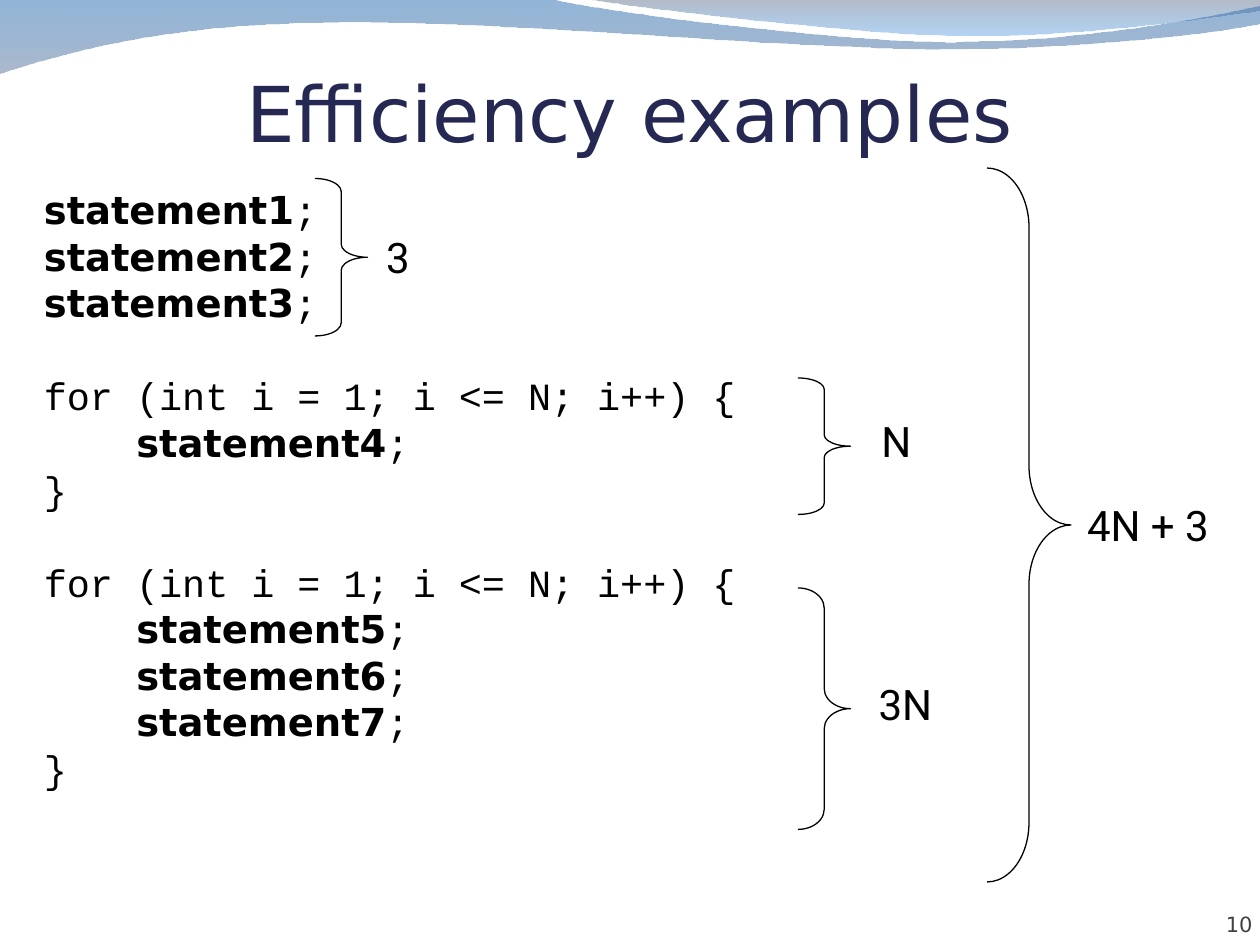
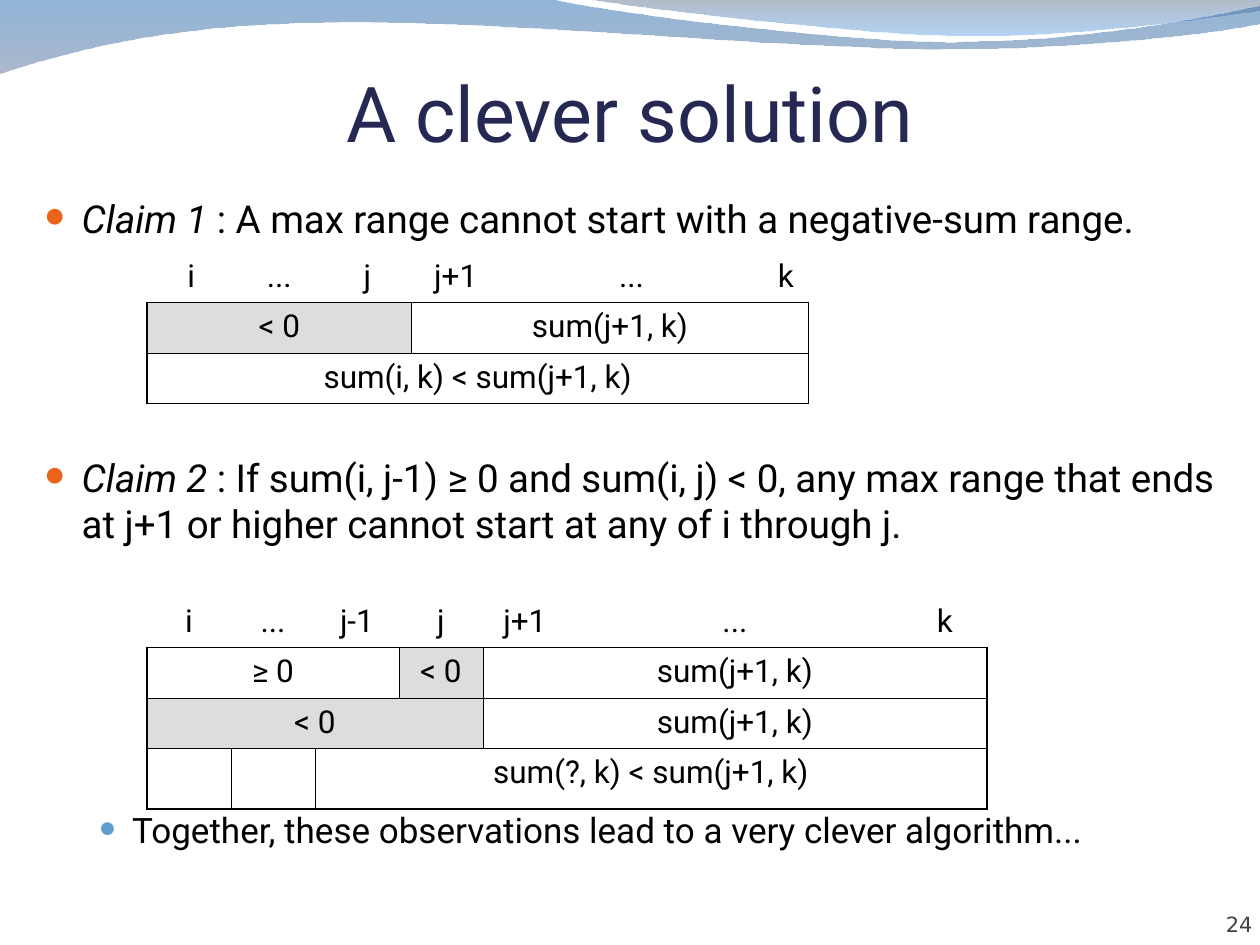
from lxml.etree import SubElement as Sub
from pptx import Presentation
from pptx.dml.color import RGBColor
from pptx.enum.shapes import MSO_SHAPE as Shape
from pptx.enum.text import MSO_ANCHOR as Anchor, MSO_AUTO_SIZE as Auto, PP_ALIGN as Align
from pptx.oxml.ns import qn
from pptx.util import Inches, Pt

COLS, ROWS = 120, 90
WIDE, HIGH = Inches(10), Inches(7.5)
INK, NAVY, GREY, SHADE = "000000", "242852", "424242", "DDDDDD"
ORANGE, BLUE = "EB641B", "629DD1"
SANS, MONO, BODY = "DejaVu Sans", "Courier New", "Roboto"
THICK, THIN = 1.08, 0.45

# Each step is a point (x, y) or a Bezier curve (x1, y1, x2, y2, x, y).
WAVES = [
    ([(0, 0), (52.8, 0), (57.1, 1.1, 79.7, 4, 91, 4),
      (102.4, 4, 115, 1.7, 120, 0.6), (120, 2.3),
      (118, 2.8, 104.4, 4.7, 89.5, 4.7), (74.6, 4.7, 45.8, 1.8, 30.8, 2.2),
      (15.5, 2.3, 5.5, 5.2, 0, 7)],
     [("0E5CA9", 45), ("687FA3", 55)]),
    ([(56, 0), (59.8, 0.6, 80.9, 3.2, 91.6, 3.4),
      (102.2, 3.6, 115.3, 1.7, 120, 1.1), (120, 0)],
     [("576680", 45), ("046FDA", 30)]),
]


def tint(code):
    return RGBColor.from_string(code)


def col(n):
    return round(n * WIDE / COLS)


def row(n):
    return round(n * HIGH / ROWS)


def put(thing, form):
    """Set each attribute named in form."""
    for key, val in form.items():
        setattr(thing, key, val)


def bend(shape, steps):
    """Join the three segments of each curve step into one Bezier curve."""
    lines = iter(list(shape._element.iter(qn("a:lnTo"))))
    for step in steps:
        head = next(lines)
        if len(step) == 6:
            head.tag = qn("a:cubicBezTo")
            for part in (next(lines), next(lines)):
                head.append(part[0])
                part.getparent().remove(part)


def edge(cell, side, size):
    """Draw one border of a table cell."""
    line = Sub(cell._tc.get_or_add_tcPr(), qn("a:ln" + side), w=str(Pt(size)))
    Sub(Sub(line, qn("a:solidFill")), qn("a:srgbClr"), val=INK)


def mark(para, code, size):
    """Give a paragraph a round bullet; size is in percent."""
    pr = para._p.get_or_add_pPr()
    Sub(Sub(pr, qn("a:buClr")), qn("a:srgbClr"), val=code)
    Sub(pr, qn("a:buSzPct"), val=str(size * 1000))
    Sub(pr, qn("a:buFont"), typeface=MONO)
    Sub(pr, qn("a:buChar"), char="●")


class Deck:
    def __init__(self):
        self.show = Presentation()
        put(self.show, {"slide_width": WIDE, "slide_height": HIGH})

    def page(self, title, face, num):
        self.slide = self.show.slides.add_slide(self.show.slide_layouts[5])
        self.shapes = self.slide.shapes
        for steps, stops in WAVES:
            self.wave(steps, stops)
        head = self.shapes.title
        self.place(head, 6, 5.76, 108, 9.24)
        self.frame(head, (0, 0.6, 0, 0), vertical_anchor=Anchor.BOTTOM)
        self.line(head.text_frame.paragraphs[0], [(title, {})], NAVY,
                  {"alignment": Align.CENTER}, {"size": Pt(44), "name": face})
        foot = self.box(109.3, 84.4, 10, 4.8, (0, 0, 0, 0),
                        vertical_anchor=Anchor.BOTTOM)
        self.line(foot.paragraphs[0], [(num, {})], GREY,
                  {"alignment": Align.RIGHT}, {"size": Pt(12), "name": SANS})

    def place(self, shape, x, y, w, h):
        put(shape, {"left": col(x), "top": row(y),
                    "width": col(w), "height": row(h)})

    def frame(self, shape, pad=(1.2, 0.6, 1.2, 0.6), **form):
        text = shape.text_frame
        sides = ("margin_left", "margin_top", "margin_right", "margin_bottom")
        put(text, dict(zip(sides, map(col, pad))))
        put(text, {"word_wrap": True, "auto_size": Auto.NONE} | form)
        return text

    def box(self, x, y, w, h, *pad, **form):
        shape = self.shapes.add_textbox(col(x), row(y), col(w), row(h))
        return self.frame(shape, *pad, **form)

    def line(self, para, runs, code, form, font):
        """Fill a paragraph with (text, font changes) pairs."""
        put(para, form)
        for text, diff in runs:
            run = para.add_run()
            run.text = text
            put(run.font, font | diff)
            run.font.color.rgb = tint(code)

    def lines(self, text, items, font, **form):
        """Write items of (runs, left, first, space before, bullet)."""
        for n, (runs, left, first, gap, dot) in enumerate(items):
            para = text.add_paragraph() if n else text.paragraphs[0]
            self.line(para, runs, INK, form | {"space_before": Pt(gap)}, font)
            pr = para._p.get_or_add_pPr()
            pr.set("marL", str(col(left)))
            pr.set("indent", str(col(first)))
            if dot:
                mark(para, *dot)

    def wave(self, steps, stops):
        first, *rest = [(col(step[n]), row(step[n + 1]))
                        for step in steps for n in range(0, len(step), 2)]
        pen = self.shapes.build_freeform(*first)
        pen.add_line_segments(rest, close=True)
        shape = pen.convert_to_shape()
        bend(shape, steps[1:])
        shape.shadow.inherit = False
        shape.line.fill.background()
        shape.fill.gradient()
        shape.fill.gradient_angle = 270
        for stop, (code, part) in zip(shape.fill.gradient_stops, stops):
            stop.color.rgb = tint(code)
        marks = shape._element.iter(qn("a:srgbClr"))
        for mix, (code, part) in zip(marks, stops):
            Sub(mix, qn("a:alpha"), val=str(part * 1000))

    def brace(self, x, y, w, h, label, lx, ly, lw):
        """Draw a brace whose corners take a twelfth of its height."""
        shape = self.shapes.add_shape(
            Shape.RIGHT_BRACE, col(x), row(y), col(w), row(h))
        shape.shadow.inherit = False
        shape.fill.background()
        shape.line.color.rgb = tint(INK)
        shape.line.width = Pt(0.75)
        shape.adjustments[0] = h / w / 12
        text = self.box(lx, ly, lw, 6, word_wrap=False)
        self.line(text.paragraphs[0], [(label, {})], INK, {},
                  {"size": Pt(24), "name": BODY})

    def table(self, x, y, wide, high, body):
        """Each body row lists (text, columns spanned, fill or None)."""
        grid = self.shapes.add_table(len(high), len(wide), col(x), row(y),
                                     col(sum(wide)), row(sum(high))).table
        put(grid, {"first_row": False, "horz_banding": False})
        for part, size in zip(grid.columns, wide):
            part.width = col(size)
        for part, size in zip(grid.rows, high):
            part.height = row(size)
        for r, cells in enumerate(body):
            c = 0
            for text, span, code in cells:
                self.cell(grid, r, c, span, text, code)
                c += span

    def cell(self, grid, r, c, span, text, code):
        """Outer borders are thick, inner ones thin; row 0 has only a base."""
        end, last, base = c + span - 1, len(grid.columns) - 1, len(grid.rows) - 1
        sides = {"B": THICK if r in (0, base) else THIN}
        if r:
            sides = {"L": THIN if c else THICK,
                     "R": THIN if end < last else THICK,
                     "T": THIN if r > 1 else THICK} | sides
        for n in range(c, end + 1):
            part = grid.cell(r, n)
            for side, size in sides.items():
                edge(part, side, size)
            part.fill.background()
        home = grid.cell(r, c)
        if span > 1:
            home.merge(grid.cell(r, end))
        if code:
            home.fill.solid()
            home.fill.fore_color.rgb = tint(code)
        if text:
            self.line(home.text_frame.paragraphs[0], [(text, {})], INK,
                      {"alignment": Align.CENTER},
                      {"size": Pt(18), "name": BODY})


def code(deck):
    deck.page("Efficiency examples", SANS, "10")

    def call(n, left, first):
        runs = [(f"statement{n}", {"name": SANS, "bold": True}), (";", {})]
        return runs, left, first, 5.5, None

    def plain(text, gap=5.5):
        return [(text, {})], 3.6, -3.6, gap, None

    def loop(*nums):
        return [plain("for (int i = 1; i <= N; i++) {", 32),
                *(call(n, 8.8, 0) for n in nums), plain("}")]

    items = [call(n, 3.6, -3.6) for n in (1, 2, 3)] + loop(4) + loop(5, 6, 7)
    deck.lines(deck.box(3, 18, 117, 68), items,
               {"size": Pt(22), "name": MONO}, line_spacing=0.8)
    for brace in [
        (30, 17, 5, 15, "3", 35.6, 21.5, 4.7),
        (76, 36, 5, 13, "N", 82.75, 39, 5.4),
        (76, 56, 5, 23, "3N", 82.5, 64, 7.7),
        (94, 16, 8, 68, "4N + 3", 102.35, 47, 14.4),
    ]:
        deck.brace(*brace)


def claims(deck):
    deck.page("A clever solution", BODY, "24")

    def claim(n, text, gap):
        runs = [(f"Claim {n} ", {"italic": True}), (text, {})]
        return runs, 3.6, -3.6, gap, (ORANGE, 95)

    end = "Together, these observations lead to a very clever algorithm..."
    deck.lines(deck.box(3, 18, 117, 68), [
        claim(1, ": A max range cannot start with a negative-sum range.", 5.5),
        claim(2, ": If sum(i, j-1) ≥ 0 and sum(i, j) < 0, any max range that "
                 "ends at j+1 or higher cannot start at any of i through j.", 121.5),
        ([(end, {"size": Pt(20)})], 8.4, -3.2, 149.8, (BLUE, 85)),
    ], {"size": Pt(22), "name": BODY})

    def heads(*names):
        return [(name, 1, None) for name in names]

    tail = ("sum(j+1, k)", 3, None)
    deck.table(14, 24, [8.4] * 4 + [25.1, 4.3], [4.81] * 3, [
        heads("i", "...", "j", "j+1", "...", "k"),
        [("< 0", 3, SHADE), tail],
        [("sum(i, k) < sum(j+1, k)", 6, None)],
    ])
    deck.table(14, 56.85, [8] * 5 + [32, 8], [4.81] * 3 + [5.8], [
        heads("i", "...", "j-1", "j", "j+1", "...", "k"),
        [("≥ 0", 3, None), ("< 0", 1, SHADE), tail],
        [("< 0", 4, SHADE), tail],
        heads("", "") + [("sum(?, k) < sum(j+1, k)", 5, None)],
    ])


def main():
    deck = Deck()
    code(deck)
    claims(deck)
    deck.show.save("out.pptx")


if __name__ == "__main__":
    main()
